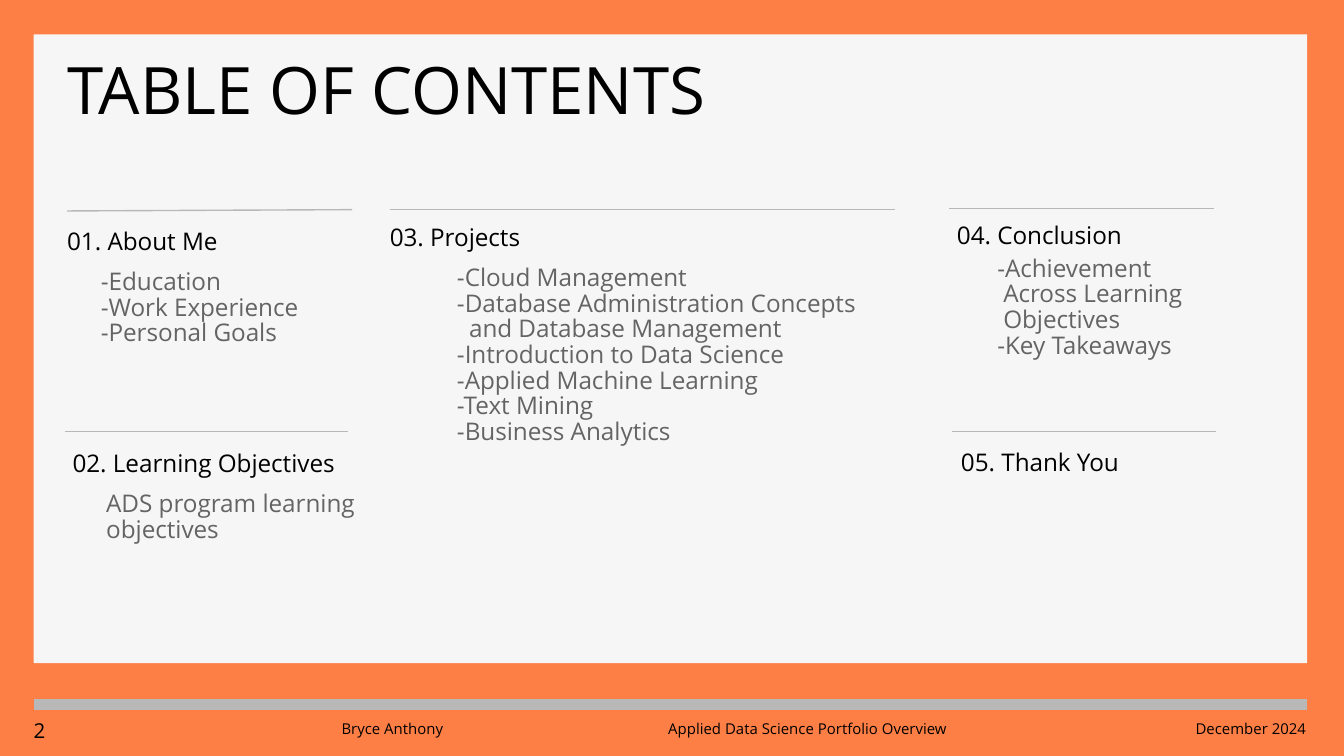
from lxml import etree
from pptx import Presentation
from pptx import util as u
from pptx.dml.color import RGBColor
from pptx.enum import shapes, text
from pptx.oxml import ns

PX = 4572
FONT = "Open Sans"
ORANGE = RGBColor(0xFD, 0x7F, 0x45)
PAPER = RGBColor(0xF6, 0xF6, 0xF6)
SILVER = RGBColor(0xB8, 0xB8, 0xB8)
GREY = RGBColor(0x64, 0x64, 0x64)
BLACK = RGBColor(0, 0, 0)
LEFT, CENTER, RIGHT = text.PP_ALIGN.LEFT, text.PP_ALIGN.CENTER, text.PP_ALIGN.RIGHT
SPACE = 9


def px(*values):
    return [u.Emu(v * PX) for v in values]


def write(sp, lines, size=13, color=BLACK, align=LEFT, spacing=0.88):
    tf = sp.text_frame
    tf.word_wrap = True
    tf.auto_size = text.MSO_AUTO_SIZE.NONE
    tf.vertical_anchor = text.MSO_ANCHOR.TOP
    tf.margin_left = tf.margin_top = tf.margin_right = tf.margin_bottom = 0
    for i, (line, indent) in enumerate(lines):
        p = tf.paragraphs[0] if i == 0 else tf.add_paragraph()
        p.alignment = align
        p.line_spacing = spacing
        if indent:
            p._p.get_or_add_pPr().set("marL", str(indent * SPACE * PX))
        r = p.add_run()
        r.text = line
        r.font.name = FONT
        r.font.size = u.Pt(size)
        r.font.color.rgb = color


def add_text(s, box, lines, **fmt):
    write(s.shapes.add_textbox(*px(*box)), lines, **fmt)


def add_rule(s, start, end, width):
    line = s.shapes.add_connector(shapes.MSO_CONNECTOR.STRAIGHT, *px(*start, *end))
    line.line.color.rgb = SILVER
    line.line.width = u.Pt(width)
    etree.SubElement(line._element.spPr, ns.qn("a:effectLst"))


def add_frame(s, box):
    x, y, w, h = box
    s.background.fill.solid()
    s.background.fill.fore_color.rgb = ORANGE
    panel = s.shapes.add_shape(shapes.MSO_SHAPE.RECTANGLE, *px(x, y, w, h))
    panel.shadow.inherit = False
    panel.fill.solid()
    panel.fill.fore_color.rgb = PAPER
    panel.line.fill.background()
    s.shapes.title._element.addprevious(panel._element)
    add_rule(s, (x, y + h + 61), (x + w, y + h + 61), 6)


def add_title(s, box, title):
    sp = s.shapes.title
    sp.left, sp.top, sp.width, sp.height = px(*box)
    write(sp, [(title, 0)], size=35, spacing=0.75)


def add_section(s, box, heading, items=(), head=(0, 24), body=(50, 60), body_w=384,
                rise=0, spacing=0.88):
    x, y, w = box
    add_rule(s, (x, y), (x + w, y - rise), 0.75)
    hx, hy = x + head[0], y + head[1]
    add_text(s, (hx, hy, w + 10, 36), [(heading, 0)], spacing=spacing)
    if items:
        add_text(s, (hx + body[0], hy + body[1], body_w, 43 * len(items)), items, color=GREY)


def add_footer(s, box, number, entries):
    x, y, w, h = box
    add_text(s, (x, y, 100, h), [(number, 0)], size=11, spacing=1.0)
    for left, label, align in entries:
        add_text(s, (x + left, y + 6, 444, 26), [(label, 0)], size=8, align=align)


def main():
    prs = Presentation()
    prs.slide_width, prs.slide_height = px(2000, 1125)
    s = prs.slides.add_slide(prs.slide_layouts[5])
    add_frame(s, (50, 51, 1895, 936))
    add_title(s, (100, 100, 1794, 88), "TABLE OF CONTENTS")
    add_section(s, (100, 314, 424), "01. About Me",
                [("-Education", 0), ("-Work Experience", 0), ("-Personal Goals", 0)],
                head=(0, 28), rise=2)
    add_section(s, (96, 642, 422), "02. Learning Objectives",
                [("ADS program learning objectives", 0)], head=(12, 30))
    add_section(s, (580, 312, 752), "03. Projects",
                [("-Cloud Management", 0),
                 ("-Database Administration Concepts", 0),
                 ("and Database Management", 2),
                 ("-Introduction to Data Science", 0),
                 ("-Applied Machine Learning", 0),
                 ("-Text Mining", 0),
                 ("-Business Analytics", 0)],
                body=(100, 60), body_w=736)
    add_section(s, (1412, 310, 394), "04. Conclusion",
                [("-Achievement", 0), ("Across Learning", 1),
                 ("Objectives", 1), ("-Key Takeaways", 0)],
                head=(12, 24), body=(60, 48), body_w=410)
    add_section(s, (1416, 642, 394), "05. Thank You", head=(14, 32), spacing=0.8)
    add_footer(s, (50, 1068, 1895, 38), "2",
               [(312, "Bryce Anthony", CENTER),
                (930, "Applied Data Science Portfolio Overview", CENTER),
                (1450, "December 2024", RIGHT)])
    prs.save("out.pptx")


if __name__ == "__main__":
    main()
